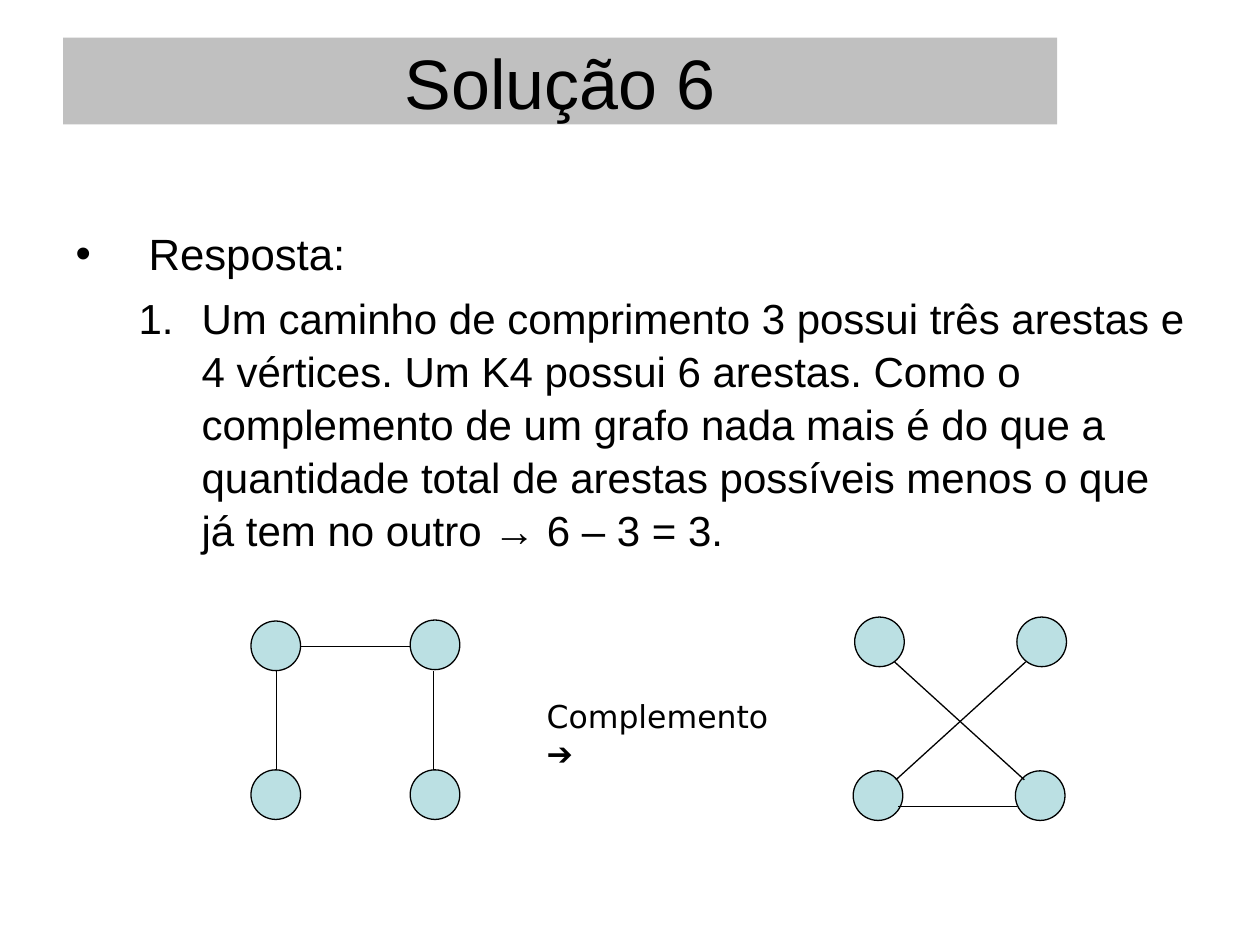
"""Build the slide showing a three-edge path in K4 and its complement."""
from dataclasses import dataclass

from lxml import etree
from pptx import Presentation
from pptx import util as u
from pptx.dml import color
from pptx.enum import shapes, text
from pptx.oxml import ns

BLACK, GREY, AQUA = "000000", "C0C0C0", "BBE0E3"
NODE_SIZE = 1.0
LINE_WIDTH = 0.75


@dataclass(frozen=True)
class Graph:
    """Node corners and edge ends, in centimetres."""
    nodes: tuple[tuple[float, float], ...]
    edges: tuple[tuple[float, float, float, float], ...]


PATH = Graph(
    nodes=((5.06, 12.52), (8.27, 12.5), (5.06, 15.52), (8.27, 15.52)),
    edges=((5.58, 15.52, 5.58, 13.52), (6.07, 13.03, 8.28, 13.03),
           (8.74, 13.52, 8.74, 15.52)),
)
COMPLEMENT = Graph(
    nodes=((17.23, 12.44), (20.5, 12.44), (17.2, 15.54), (20.47, 15.54)),
    edges=((18.06, 15.72, 20.68, 13.34), (18.11, 16.26, 20.5, 16.26),
           (20.65, 15.72, 18.03, 13.34)),
)


def paint(target, value: str) -> None:
    """Give a fill, line or font a solid colour."""
    fill = target if hasattr(target, "solid") else target.fill
    fill.solid()
    fill.fore_color.rgb = color.RGBColor.from_string(value)


def place(box, left: float, top: float, width: float, height: float) -> None:
    """Move and size a box, in centimetres."""
    box.left, box.top = u.Cm(left), u.Cm(top)
    box.width, box.height = u.Cm(width), u.Cm(height)


def style(font, size: float, name: str = "Arial") -> None:
    """Set the size, typeface and black colour of a font."""
    font.size, font.name = u.Pt(size), name
    paint(font, BLACK)


def add_bullet(para, tag: str, margin: float, indent: float, **marker: str) -> None:
    """Give a paragraph a hanging indent and a bullet or number."""
    props = para._p.get_or_add_pPr()
    props.set("marL", str(u.Cm(margin)))
    props.set("indent", str(u.Cm(-indent)))
    etree.SubElement(props, ns.qn("a:buFont"), typeface="Arial")
    etree.SubElement(props, ns.qn(tag), **marker)


def draw_graph(page, graph: Graph) -> None:
    """Draw the nodes and edges of a graph as one group."""
    group = page.shapes.add_group_shape()
    for left, top in graph.nodes:
        node = group.shapes.add_shape(
            shapes.MSO_SHAPE.OVAL, u.Cm(left), u.Cm(top), u.Cm(NODE_SIZE), u.Cm(NODE_SIZE))
        node.shadow.inherit = False
        paint(node.fill, AQUA)
        paint(node.line, BLACK)
        node.line.width = u.Pt(LINE_WIDTH)
    for ends in graph.edges:
        edge = group.shapes.add_connector(
            shapes.MSO_CONNECTOR.STRAIGHT, *(u.Cm(end) for end in ends))
        paint(edge.line, BLACK)
        edge.line.width = u.Pt(LINE_WIDTH)
        etree.SubElement(edge._element.spPr, ns.qn("a:effectLst"))


def fill_title(title) -> None:
    """Write the heading on its grey band."""
    place(title, 1.27, 0.76, 20.04, 1.75)
    paint(title.fill, GREY)
    title.text_frame.auto_size = text.MSO_AUTO_SIZE.NONE
    title.text_frame.text = "Solução 6"
    para = title.text_frame.paragraphs[0]
    para.alignment = text.PP_ALIGN.CENTER
    style(para.font, 40)


def fill_answer(body) -> None:
    """Write the answer list."""
    place(body, 1.27, 4.45, 22.86, 12.57)
    frame = body.text_frame
    frame.auto_size = text.MSO_AUTO_SIZE.NONE
    frame.text = "Resposta:"
    heading = frame.paragraphs[0]
    add_bullet(heading, "a:buChar", 1.47, 1.47, char="•")
    heading.space_before = u.Pt(0)
    style(heading.font, 25)

    answer = frame.add_paragraph()
    answer.text = (
        "Um caminho de comprimento 3 possui três arestas e 4 vértices. "
        "Um K4 possui 6 arestas. Como o complemento de um grafo nada mais é "
        "do que a quantidade total de arestas possíveis menos o que já tem "
        "no outro → 6 – 3 = 3.")
    answer.level = 1
    add_bullet(answer, "a:buAutoNum", 2.54, 1.27, type="arabicPeriod")
    answer.space_before = u.Pt(6)
    answer.line_spacing = 1.05
    style(answer.font, 24)


def add_label(page) -> None:
    """Write the label between the two graphs."""
    box = page.shapes.add_textbox(u.Cm(10.77), u.Cm(13.92), u.Cm(5.56), u.Cm(1.02))
    box.text_frame.word_wrap = True
    para = box.text_frame.paragraphs[0]
    for words, name in (("Complemento ", "DejaVu Sans"), ("➔", "Arial")):
        span = para.add_run()
        span.text = words
        style(span.font, 18, name)


def main() -> None:
    """Build and save the deck."""
    deck = Presentation()
    deck.slide_width, deck.slide_height = u.Cm(25.4), u.Cm(19.05)
    page = deck.slides.add_slide(deck.slide_layouts[1])
    fill_title(page.shapes.title)
    fill_answer(page.placeholders[1])
    draw_graph(page, PATH)
    add_label(page)
    draw_graph(page, COMPLEMENT)
    deck.save("out.pptx")


if __name__ == "__main__":
    main()
